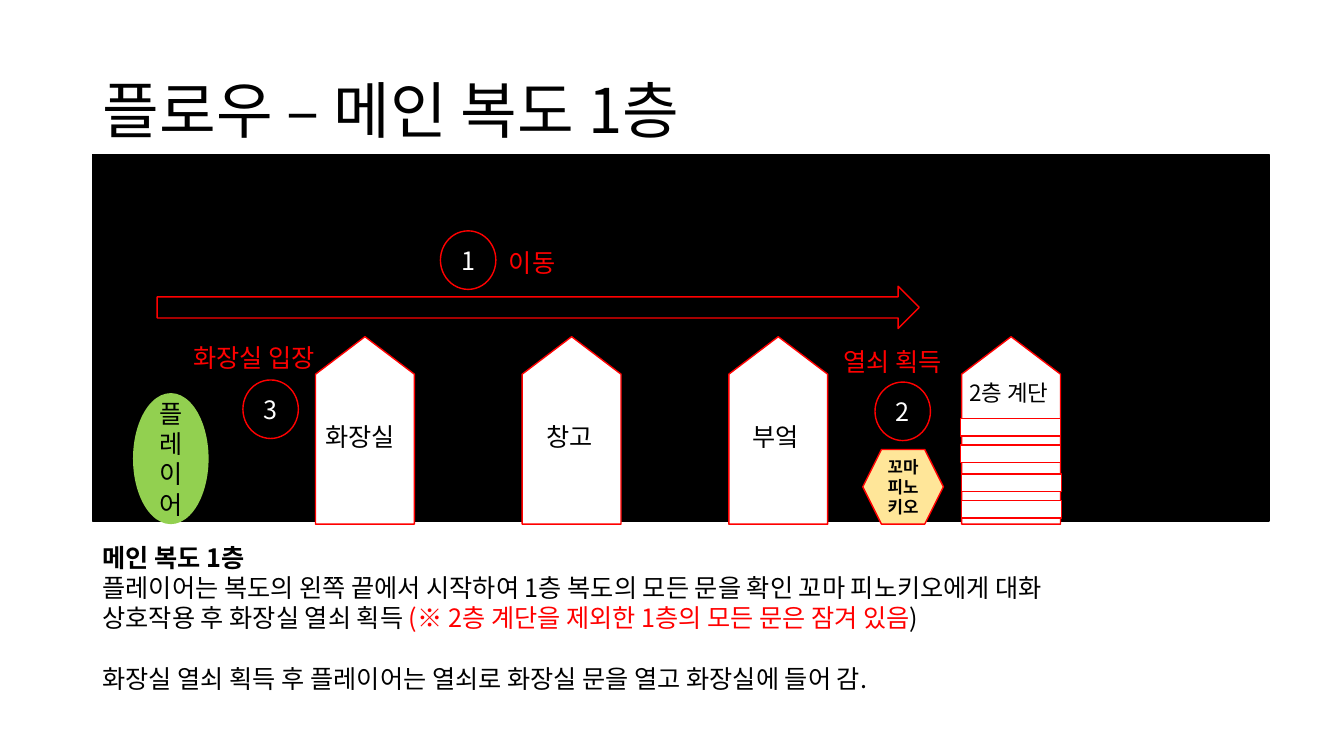
from dataclasses import dataclass

from lxml.etree import SubElement
from pptx import Presentation
from pptx.dml.color import RGBColor
from pptx.enum.shapes import MSO_SHAPE
from pptx.enum.text import MSO_ANCHOR, MSO_AUTO_SIZE, PP_ALIGN
from pptx.oxml.ns import qn
from pptx.util import Pt


@dataclass(frozen=True)
class Theme:
    font: str = "Noto Sans CJK KR"
    black: str = "000000"
    white: str = "FFFFFF"
    red: str = "FF0000"
    player: str = "92D050"
    npc: str = "FFE699"
    title: int = 44
    body: int = 18
    stairs: int = 16
    small: int = 12


@dataclass(frozen=True)
class Box:
    left: float
    top: float
    width: float
    height: float

    def inside(self, dx, dy, width, height):
        """Box of the given size, offset from this box's top left corner."""
        return Box(self.left + dx, self.top + dy, width, height)

    def lengths(self):
        return [Pt(v) for v in (self.left, self.top, self.width, self.height)]


THEME = Theme()


def style(paragraph, size=THEME.body, color=THEME.black, bold=False, align=PP_ALIGN.LEFT):
    paragraph.alignment = align
    font = paragraph.font
    font.size, font.bold, font.name = Pt(size), bold, THEME.font
    font.color.rgb = RGBColor.from_string(color)
    # Hangul takes its typeface from the East Asian font element
    SubElement(font._element, qn("a:ea"), typeface=THEME.font)


def add_figure(slide, preset, box, fill=None, line=THEME.red, text="", **text_style):
    figure = slide.shapes.add_shape(preset, *box.lengths())
    figure.shadow.inherit = False
    if fill:
        figure.fill.solid()
        figure.fill.fore_color.rgb = RGBColor.from_string(fill)
    else:
        figure.fill.background()
    if line:
        figure.line.color.rgb = RGBColor.from_string(line)
        figure.line.width = Pt(1)
    else:
        figure.line.fill.background()
    if text:
        frame = figure.text_frame
        frame.text = text
        frame.vertical_anchor = MSO_ANCHOR.MIDDLE
        style(frame.paragraphs[0], align=PP_ALIGN.CENTER, **text_style)
    return figure


def add_label(slide, box, text, **text_style):
    frame = slide.shapes.add_textbox(*box.lengths()).text_frame
    frame.word_wrap = True
    frame.text = text
    for paragraph in frame.paragraphs:
        style(paragraph, **text_style)
    return frame


def add_title(slide, box, text):
    title = slide.shapes.title
    title.left, title.top, title.width, title.height = box.lengths()
    frame = title.text_frame
    frame.text = text
    frame.auto_size = MSO_AUTO_SIZE.NONE
    frame.vertical_anchor = MSO_ANCHOR.MIDDLE
    heading = frame.paragraphs[0]
    heading.line_spacing = 0.9
    style(heading, THEME.title)


def add_doors(slide, corridor):
    """Three room doors at an equal pitch, then the staircase with its treads."""
    first_door, pitch, stairs = 159.2, 147.6, 620.7
    rooms = [("화장실", 0), ("창고", 10), ("부엌", 10)]
    room_doors = [first_door + pitch * i for i in range(len(rooms))]
    for x in [*room_doors, stairs]:
        door = add_figure(slide, MSO_SHAPE.FLOWCHART_OFFPAGE_CONNECTOR,
                          corridor.inside(x, 130.3, 70.6, 133.9), THEME.white)
        door.rotation = 180
    for x, y in [(607.8, 217.4), (607, 177.8)]:
        add_figure(slide, MSO_SHAPE.MATH_EQUAL,
                   corridor.inside(x, y, 97.2, 53.3), THEME.white)
    for x, (room, indent) in zip(room_doors, rooms):
        add_label(slide, corridor.inside(x + indent, 187.2, 70.6, 30.2), room)
    add_label(slide, corridor.inside(619.2, 156.9, 80, 26.6), "2층 계단", size=THEME.stairs)


def add_characters(slide, corridor):
    add_figure(slide, MSO_SHAPE.OVAL, corridor.inside(28.8, 170.6, 54, 93.6),
               THEME.player, None, "플레이어")
    add_figure(slide, MSO_SHAPE.HEXAGON, corridor.inside(550.1, 210.9, 57.6, 53.3),
               THEME.npc, text="꼬마 피노키오", size=THEME.small, bold=True)


def add_steps(slide, corridor):
    """Movement arrow and the numbered steps with their captions."""
    add_figure(slide, MSO_SHAPE.RIGHT_ARROW, corridor.inside(46.1, 94.3, 544.3, 30.2))
    steps = [
        ("이동", (248.4, 54.7), (290.2, 62.6)),
        ("열쇠 획득", (558.8, 162.7), (529.2, 133.9)),
        ("화장실 입장", (107.3, 161.2), (64.8, 131)),
    ]
    for number, (action, marker, caption) in enumerate(steps, 1):
        add_figure(slide, MSO_SHAPE.OVAL, corridor.inside(*marker, 39.6, 41.8),
                   text=str(number), color=THEME.white)
        add_label(slide, corridor.inside(*caption, 120, 28.8), action, color=THEME.red)


def add_description(slide, box):
    frame = add_label(slide, box, "\n".join([
        "메인 복도 1층",
        "플레이어는 복도의 왼쪽 끝에서 시작하여 1층 복도의 모든 문을 확인 꼬마 피노키오에게 대화",
        "상호작용 후 화장실 열쇠 획득 ",
        "화장실 열쇠 획득 후 플레이어는 열쇠로 화장실 문을 열고 화장실에 들어 감.",
    ]))
    heading, _, key, entry = frame.paragraphs
    heading.font.bold = True
    note = key.add_run()
    note.text = "(※ 2층 계단을 제외한 1층의 모든 문은 잠겨 있음"
    note.font.color.rgb = RGBColor.from_string(THEME.red)
    key.add_run().text = ")"
    entry.space_before = Pt(21.5)


def main():
    deck = Presentation()
    deck.slide_width, deck.slide_height = Pt(960), Pt(540)
    slide = deck.slides.add_slide(deck.slide_layouts[5])
    corridor = Box(66.2, 110.2, 840.2, 262)
    add_title(slide, Box(66.2, 28.8, 828, 104.4), "플로우 – 메인 복도 1층")
    add_figure(slide, MSO_SHAPE.RECTANGLE, corridor, THEME.black, THEME.black)
    add_doors(slide, corridor)
    add_characters(slide, corridor)
    add_description(slide, Box(66.2, 383.8, 840.2, 116.6))
    add_steps(slide, corridor)
    deck.save("out.pptx")


if __name__ == "__main__":
    main()
